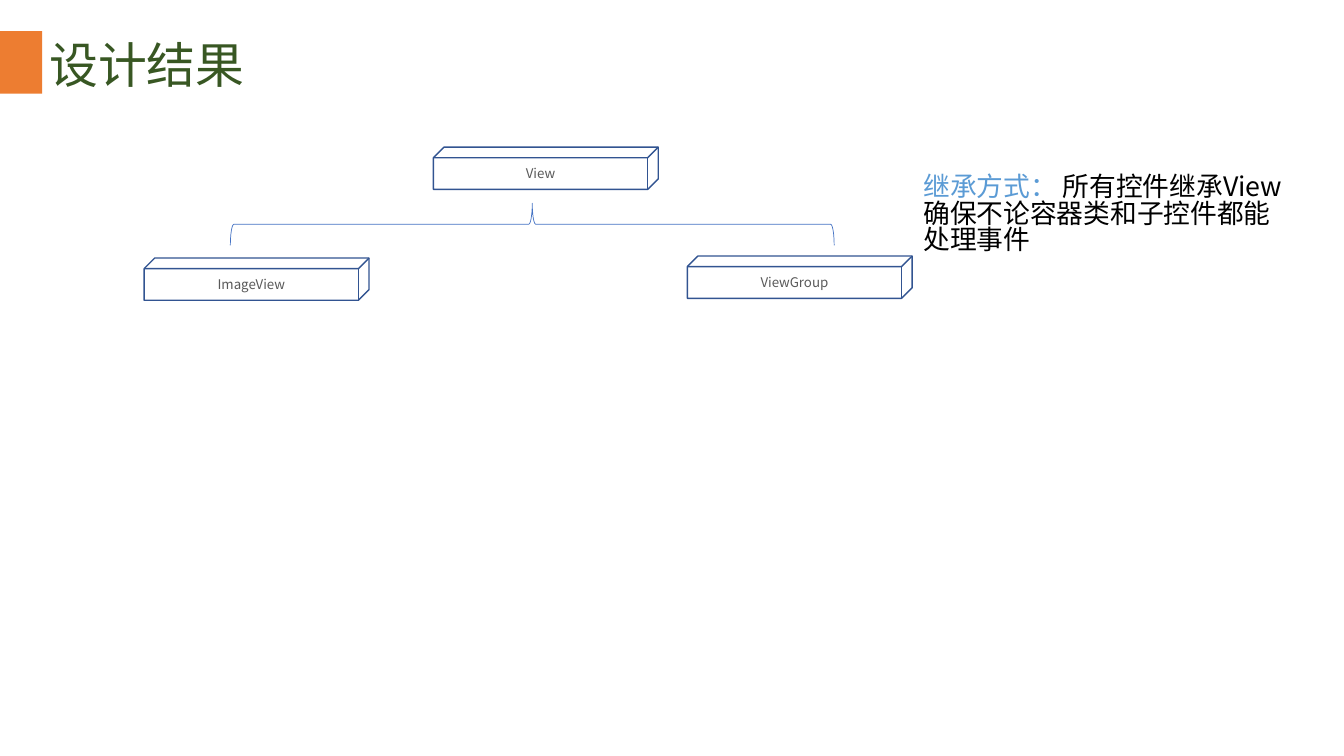
"""Builds the slide that shows how the view classes inherit from View."""
from dataclasses import dataclass

import pptx
import pptx.dml.color
import pptx.enum.shapes
import pptx.enum.text
import pptx.oxml.ns
import pptx.shapes.autoshape
import pptx.slide
import pptx.text.text
import pptx.util

Pt = pptx.util.Pt
Shape = pptx.shapes.autoshape.Shape
MSO_SHAPE = pptx.enum.shapes.MSO_SHAPE
MSO_ANCHOR = pptx.enum.text.MSO_ANCHOR
PP_ALIGN = pptx.enum.text.PP_ALIGN


@dataclass(frozen=True)
class Theme:
    """Colours, type sizes and line widths of the slide."""
    font: str = "Noto Sans CJK SC"
    accent: str = "ED7D31"
    title: str = "385723"
    class_text: str = "595959"
    class_line: str = "325491"
    brace_line: str = "4472C4"
    highlight: str = "5B9BD5"
    body: str = "000000"
    title_size: float = 34.9
    class_size: float = 9.5
    body_size: float = 19.1
    class_width: float = 1
    brace_width: float = 0.5
    body_spacing: float = 0.83


@dataclass(frozen=True)
class Box:
    """Position and size in points."""
    left: float
    top: float
    width: float
    height: float


@dataclass(frozen=True)
class ClassBlock:
    """A class name and the top left corner of its cube."""
    name: str
    left: float
    top: float


THEME = Theme()
CLASS_WIDTH, CLASS_HEIGHT = 160.6, 30.2
CLASSES = [
    ClassBlock("View", 309.6, 105.1),
    ClassBlock("ImageView", 103, 184.3),
    ClassBlock("ViewGroup", 491, 182.9),
]
BRACE = Box(164.5, 145.1, 431.3, 30.2)
ACCENT = Box(0, 22.3, 30.2, 44.6)
TITLE = Box(30.2, 23, 900, 46.1)
BODY = Box(652.3, 121.7, 300.2, 76.3)
EXPLANATION = [
    [("继承方式： ", THEME.highlight), ("所有控件继承View", THEME.body)],
    [("确保不论容器类和子控件都能", THEME.body)],
    [("处理事件", THEME.body)],
]


def rgb(value: str) -> pptx.dml.color.RGBColor:
    """Turn a hex string into a colour."""
    return pptx.dml.color.RGBColor.from_string(value)


def place(shape: Shape, box: Box) -> None:
    """Move and size a shape."""
    shape.left, shape.top = Pt(box.left), Pt(box.top)
    shape.width, shape.height = Pt(box.width), Pt(box.height)


def add_run(paragraph: pptx.text.text._Paragraph, text: str, size: float, color: str) -> None:
    """Add one formatted run, with the font set for Latin and Chinese text."""
    run = paragraph.add_run()
    run.text = text
    run.font.size = Pt(size)
    run.font.color.rgb = rgb(color)
    run.font.name = THEME.font
    east_asian = pptx.oxml.parse_xml(
        f'<a:ea {pptx.oxml.ns.nsdecls("a")} typeface="{THEME.font}"/>')
    run.font._element.find(pptx.oxml.ns.qn("a:latin")).addnext(east_asian)


def add_outline(slide: pptx.slide.Slide, kind: MSO_SHAPE, box: Box,
                color: str, width: float) -> Shape:
    """Add an unfilled preset shape with a coloured line."""
    shape = slide.shapes.add_shape(
        kind, Pt(box.left), Pt(box.top), Pt(box.width), Pt(box.height))
    shape.shadow.inherit = False
    shape.fill.background()
    shape.line.color.rgb = rgb(color)
    shape.line.width = Pt(width)
    return shape


def add_accent(slide: pptx.slide.Slide) -> None:
    """Add the solid block beside the title."""
    accent = add_outline(slide, MSO_SHAPE.RECTANGLE, ACCENT, THEME.accent, 0)
    accent.fill.solid()
    accent.fill.fore_color.rgb = rgb(THEME.accent)
    accent.line.fill.background()


def add_class(slide: pptx.slide.Slide, block: ClassBlock) -> None:
    """Add a cube that carries a class name."""
    box = Box(block.left, block.top, CLASS_WIDTH, CLASS_HEIGHT)
    cube = add_outline(slide, MSO_SHAPE.CUBE, box, THEME.class_line, THEME.class_width)
    cube.text_frame.vertical_anchor = MSO_ANCHOR.MIDDLE
    paragraph = cube.text_frame.paragraphs[0]
    paragraph.alignment = PP_ALIGN.CENTER
    add_run(paragraph, block.name, THEME.class_size, THEME.class_text)


def add_brace(slide: pptx.slide.Slide) -> None:
    """Add the brace that joins the parent to its children, turned upright."""
    turned = Box(BRACE.left + (BRACE.width - BRACE.height) / 2,
                 BRACE.top + (BRACE.height - BRACE.width) / 2,
                 BRACE.height, BRACE.width)
    brace = add_outline(slide, MSO_SHAPE.LEFT_BRACE, turned,
                        THEME.brace_line, THEME.brace_width)
    brace.rotation = 90


def fill_title(slide: pptx.slide.Slide) -> None:
    """Place and fill the title."""
    title = slide.shapes.title
    place(title, TITLE)
    frame = title.text_frame
    frame.auto_size = pptx.enum.text.MSO_AUTO_SIZE.NONE
    frame.vertical_anchor = MSO_ANCHOR.MIDDLE
    frame.margin_left = frame.margin_right = Pt(5)
    frame.margin_top = frame.margin_bottom = Pt(2.9)
    paragraph = frame.paragraphs[0]
    paragraph.alignment = PP_ALIGN.LEFT
    add_run(paragraph, "设计结果", THEME.title_size, THEME.title)


def fill_explanation(slide: pptx.slide.Slide) -> None:
    """Place the body and fill it with lines that have no bullets."""
    body = slide.placeholders[1]
    place(body, BODY)
    frame = body.text_frame
    frame.word_wrap = True
    frame.auto_size = pptx.enum.text.MSO_AUTO_SIZE.NONE
    for index, runs in enumerate(EXPLANATION):
        paragraph = frame.add_paragraph() if index else frame.paragraphs[0]
        paragraph.line_spacing = THEME.body_spacing
        paragraph.space_before = paragraph.space_after = Pt(0)
        properties = paragraph._p.get_or_add_pPr()
        properties.set("marL", "0")
        properties.set("indent", "0")
        properties.append(pptx.oxml.parse_xml(
            f'<a:buNone {pptx.oxml.ns.nsdecls("a")}/>'))
        for text, color in runs:
            add_run(paragraph, text, THEME.body_size, color)


def main() -> None:
    """Build and save the presentation."""
    presentation = pptx.Presentation()
    presentation.slide_width, presentation.slide_height = Pt(960), Pt(540)
    slide = presentation.slides.add_slide(presentation.slide_layouts[1])
    add_accent(slide)
    fill_title(slide)
    add_brace(slide)
    for block in CLASSES:
        add_class(slide, block)
    fill_explanation(slide)
    presentation.save("out.pptx")


main()
